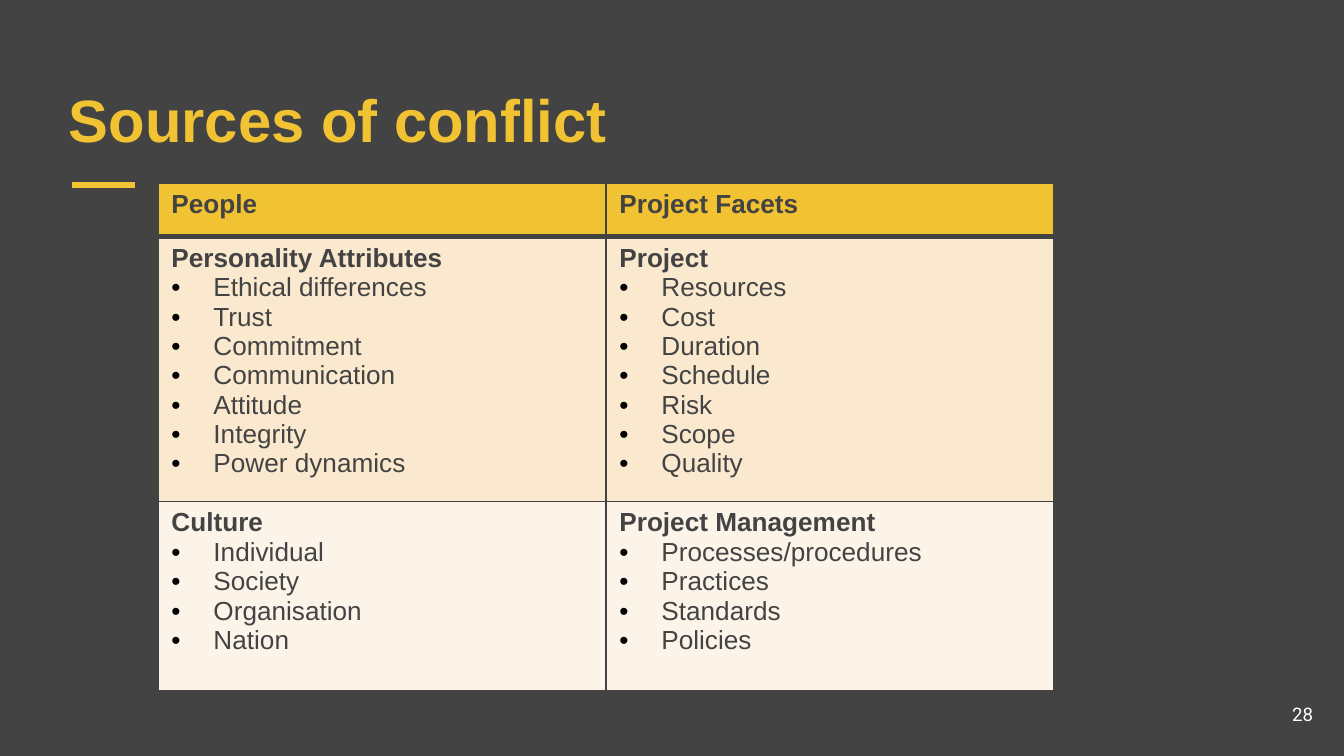
from dataclasses import dataclass

from lxml.etree import SubElement
from pptx import Presentation
from pptx.dml.color import RGBColor
from pptx.enum.shapes import MSO_CONNECTOR
from pptx.enum.text import MSO_ANCHOR, PP_ALIGN
from pptx.oxml.ns import qn
from pptx.util import Pt

TITLE = "Sources of conflict"
PAGE = "28"
HEADERS = ["People", "Project Facets"]
# Each row holds one (heading, bullets) pair per column
GROUPS = [
    [("Personality Attributes",
      ["Ethical differences", "Trust", "Commitment", "Communication",
       "Attitude", "Integrity", "Power dynamics"]),
     ("Project",
      ["Resources", "Cost", "Duration", "Schedule", "Risk", "Scope", "Quality"])],
    [("Culture", ["Individual", "Society", "Organisation", "Nation"]),
     ("Project Management",
      ["Processes/procedures", "Practices", "Standards", "Policies"])],
]


@dataclass(frozen=True)
class Theme:
    dark: str = "434343"
    accent: str = "F1C232"
    white: str = "FFFFFF"
    bullet: str = "000000"
    row_fills: tuple = ("F1C232", "FAE9CE", "FCF4E8")
    font: str = "Arial"
    page_font: str = "Roboto"
    title_size: int = 32
    body_size: int = 14
    page_size: int = 10


THEME = Theme()
EMU_PER_PX = 914400 / 134.4
SLIDE_SIZE = (1344, 756)
TITLE_BOX = (56, 67, 1230, 101)
PAGE_BOX = (1246, 685, 80, 58)
RULE = (72, 185, 135, 185)
TABLE_LEFT, TABLE_TOP, COLUMN_WIDTH = 158, 183, 448
ROW_HEIGHTS = [54, 249, 189]
INSET, BULLET_INDENT = 13, 42


def px(*lengths):
    return [round(length * EMU_PER_PX) for length in lengths]


def add_run(paragraph, text, size, color, bold=False, font=THEME.font):
    run = paragraph.add_run()
    run.text = text
    run.font.name = font
    run.font.size = Pt(size)
    run.font.bold = bold
    run.font.color.rgb = RGBColor.from_string(color)


def set_frame(frame, anchor):
    frame.word_wrap = True
    frame.vertical_anchor = anchor
    inset, = px(INSET)
    frame.margin_left = frame.margin_right = inset
    frame.margin_top = frame.margin_bottom = inset


def add_bullet(paragraph):
    indent, = px(BULLET_INDENT)
    properties = paragraph._p.get_or_add_pPr()
    properties.set("marL", str(indent))
    properties.set("indent", str(-indent))
    color = SubElement(properties, qn("a:buClr"))
    SubElement(color, qn("a:srgbClr"), val=THEME.bullet)
    SubElement(properties, qn("a:buFont"), typeface=THEME.font)
    SubElement(properties, qn("a:buChar"), char="•")


def set_borders(cell, bottom_width):
    """Draw the four borders; they must come before the cell's fill in the XML."""
    properties = cell._tc.get_or_add_tcPr()
    widths = {"a:lnL": 1, "a:lnR": 1, "a:lnT": 1, "a:lnB": bottom_width}
    for tag, width in widths.items():
        border = SubElement(properties, qn(tag), w=str(Pt(width)))
        fill = SubElement(border, qn("a:solidFill"))
        SubElement(fill, qn("a:srgbClr"), val=THEME.dark)


def fill_cell(cell, heading, bullets, row):
    set_borders(cell, 3 if row == 0 else 1)
    cell.fill.solid()
    cell.fill.fore_color.rgb = RGBColor.from_string(THEME.row_fills[row])
    frame = cell.text_frame
    add_run(frame.paragraphs[0], heading, THEME.body_size, THEME.dark, bold=True)
    for bullet in bullets:
        paragraph = frame.add_paragraph()
        add_bullet(paragraph)
        add_run(paragraph, bullet, THEME.body_size, THEME.dark)


def add_title(slide):
    title = slide.shapes.title
    title.left, title.top, title.width, title.height = px(*TITLE_BOX)
    set_frame(title.text_frame, MSO_ANCHOR.BOTTOM)
    paragraph = title.text_frame.paragraphs[0]
    paragraph.alignment = PP_ALIGN.LEFT
    add_run(paragraph, TITLE, THEME.title_size, THEME.accent, bold=True)


def add_rule(slide):
    rule = slide.shapes.add_connector(MSO_CONNECTOR.STRAIGHT, *px(*RULE))
    rule.line.color.rgb = RGBColor.from_string(THEME.accent)
    rule.line.width = Pt(3)
    SubElement(rule._element.spPr, qn("a:effectLst"))


def add_page_number(slide):
    frame = slide.shapes.add_textbox(*px(*PAGE_BOX)).text_frame
    set_frame(frame, MSO_ANCHOR.MIDDLE)
    paragraph = frame.paragraphs[0]
    paragraph.alignment = PP_ALIGN.RIGHT
    add_run(paragraph, PAGE, THEME.page_size, THEME.white, font=THEME.page_font)


def add_conflict_table(slide):
    rows = [[(header, []) for header in HEADERS]] + GROUPS
    box = px(TABLE_LEFT, TABLE_TOP, COLUMN_WIDTH * len(HEADERS), sum(ROW_HEIGHTS))
    table = slide.shapes.add_table(len(rows), len(HEADERS), *box).table
    for table_row, height in zip(table.rows, px(*ROW_HEIGHTS)):
        table_row.height = height
    for row, groups in enumerate(rows):
        for column, (heading, bullets) in enumerate(groups):
            fill_cell(table.cell(row, column), heading, bullets, row)


def main():
    presentation = Presentation()
    presentation.slide_width, presentation.slide_height = px(*SLIDE_SIZE)
    slide = presentation.slides.add_slide(presentation.slide_layouts[5])
    slide.background.fill.solid()
    slide.background.fill.fore_color.rgb = RGBColor.from_string(THEME.dark)
    add_rule(slide)
    add_title(slide)
    add_page_number(slide)
    add_conflict_table(slide)
    presentation.save("out.pptx")


if __name__ == "__main__":
    main()
